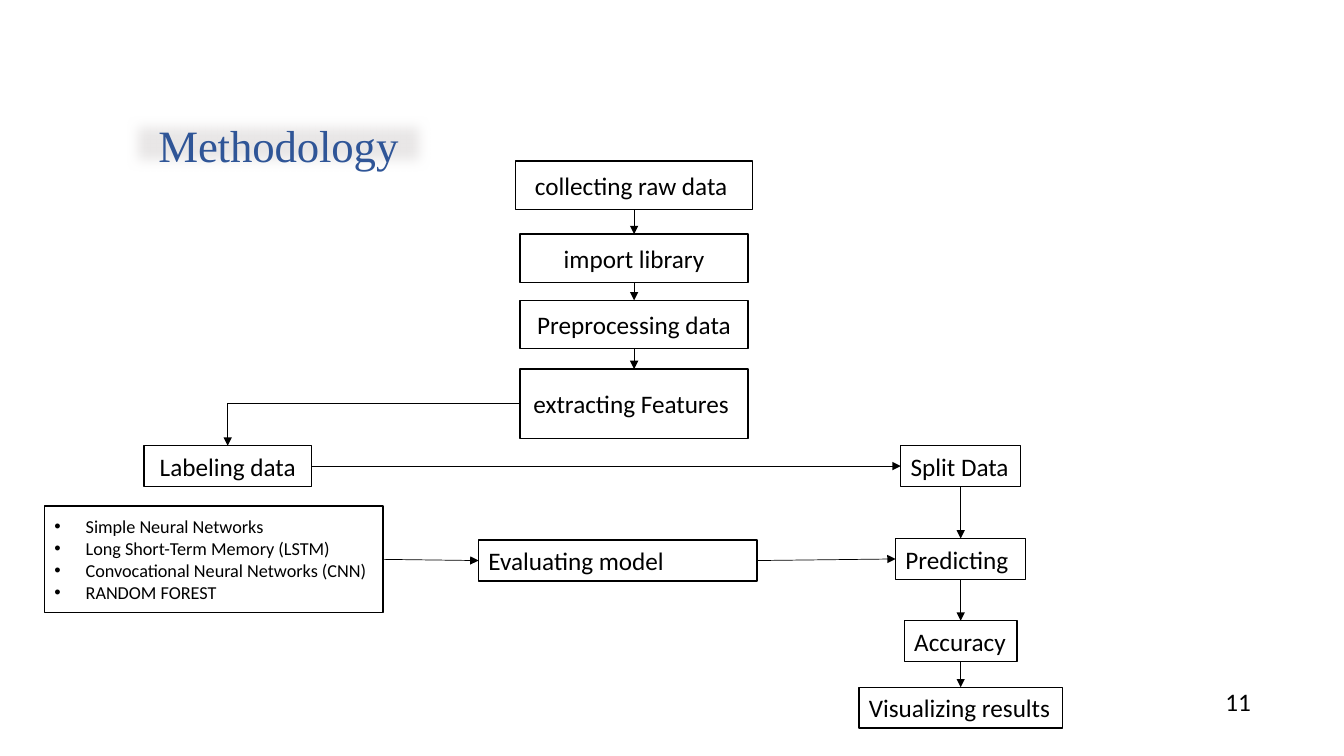
from dataclasses import dataclass
from itertools import pairwise

from lxml.etree import SubElement
from pptx import Presentation
from pptx.dml.color import RGBColor
from pptx.enum.shapes import MSO_CONNECTOR, MSO_SHAPE
from pptx.enum.text import MSO_ANCHOR, MSO_AUTO_SIZE, PP_ALIGN
from pptx.oxml.ns import qn
from pptx.util import Cm, Pt

TOP, LEFT, BOTTOM, RIGHT = range(4)


@dataclass(frozen=True)
class Theme:
    ink: RGBColor = RGBColor(0x00, 0x00, 0x00)
    paper: RGBColor = RGBColor(0xFF, 0xFF, 0xFF)
    heading: RGBColor = RGBColor(0x2F, 0x55, 0x97)
    heading_band: RGBColor = RGBColor(0xE9, 0xE7, 0xE7)
    heading_font: str = "Times New Roman"
    body_font: str = "Calibri"
    heading_size: Pt = Pt(32)
    step_size: Pt = Pt(18)
    list_size: Pt = Pt(13)
    border: Pt = Pt(1)
    arrow: Pt = Pt(0.5)


class FlowSlide:
    def __init__(self, slide, theme):
        self.slide = slide
        self.theme = theme

    def add_text(self, paragraph, text, size, color=None, font=None):
        run = paragraph.add_run()
        run.text = text
        run.font.name = font or self.theme.body_font
        run.font.size = size
        run.font.color.rgb = color or self.theme.ink
        return run

    def title(self, text, left, top, width, height):
        heading = self.slide.shapes.title
        heading.left, heading.top = Cm(left), Cm(top)
        heading.width, heading.height = Cm(width), Cm(height)
        heading.fill.solid()
        heading.fill.fore_color.rgb = self.theme.heading_band
        effects = SubElement(heading.element.spPr, qn("a:effectLst"))
        SubElement(effects, qn("a:softEdge"), rad="112500")
        frame = heading.text_frame
        frame.auto_size = MSO_AUTO_SIZE.NONE
        frame.vertical_anchor = MSO_ANCHOR.BOTTOM
        frame.margin_left = frame.margin_right = frame.margin_bottom = 0
        frame.margin_top = Cm(0.03)
        paragraph = frame.paragraphs[0]
        paragraph.alignment = PP_ALIGN.CENTER
        paragraph.space_before = Pt(1)
        run = self.add_text(paragraph, text, self.theme.heading_size,
                            self.theme.heading, self.theme.heading_font)
        run._r.get_or_add_rPr().set("spc", "-10")

    def box(self, left, top, width, height):
        shape = self.slide.shapes.add_shape(
            MSO_SHAPE.RECTANGLE, Cm(left), Cm(top), Cm(width), Cm(height))
        shape.shadow.inherit = False
        shape.fill.solid()
        shape.fill.fore_color.rgb = self.theme.paper
        shape.line.color.rgb = self.theme.ink
        shape.line.width = self.theme.border
        shape.text_frame.word_wrap = True
        shape.text_frame.vertical_anchor = MSO_ANCHOR.MIDDLE
        return shape

    def step(self, text, left, top, width, height, centred=True):
        shape = self.box(left, top, width, height)
        paragraph = shape.text_frame.paragraphs[0]
        paragraph.alignment = PP_ALIGN.CENTER if centred else PP_ALIGN.LEFT
        if not centred:
            shape.text_frame.margin_right = 0
        self.add_text(paragraph, text, self.theme.step_size)
        return shape

    def bullets(self, items, left, top, width, height):
        shape = self.box(left, top, width, height)
        frame = shape.text_frame
        for index, item in enumerate(items):
            paragraph = frame.add_paragraph() if index else frame.paragraphs[0]
            paragraph.alignment = PP_ALIGN.LEFT
            properties = paragraph._p.get_or_add_pPr()
            properties.set("marL", str(Cm(0.79)))
            properties.set("indent", str(-Cm(0.79)))
            SubElement(properties, qn("a:buFont"), typeface="Arial")
            SubElement(properties, qn("a:buChar"), char="•")
            self.add_text(paragraph, item, self.theme.list_size)
        return shape

    def arrow(self, source, exit_site, target, entry_site, bent=False):
        kind = MSO_CONNECTOR.ELBOW if bent else MSO_CONNECTOR.STRAIGHT
        link = self.slide.shapes.add_connector(kind, 0, 0, 0, 0)
        link.begin_connect(source, exit_site)
        link.end_connect(target, entry_site)
        link.line.color.rgb = self.theme.ink
        link.line.width = self.theme.arrow
        properties = link.element.spPr
        if bent:
            properties.find(qn("a:prstGeom")).set("prst", "bentConnector2")
        SubElement(properties.find(qn("a:ln")), qn("a:tailEnd"), type="triangle")
        SubElement(properties, qn("a:effectLst"))

    def page_number(self, text, left, top, width, height):
        label = self.slide.shapes.add_textbox(
            Cm(left), Cm(top), Cm(width), Cm(height))
        frame = label.text_frame
        frame.word_wrap = True
        frame.margin_left = Cm(0.15)
        frame.margin_top = frame.margin_right = frame.margin_bottom = 0
        paragraph = frame.paragraphs[0]
        paragraph.line_spacing = Pt(12.4)
        self.add_text(paragraph, text, self.theme.step_size)


def main():
    deck = Presentation()
    deck.slide_width, deck.slide_height = Cm(33.87), Cm(19.05)
    page = FlowSlide(deck.slides.add_slide(deck.slide_layouts[5]), Theme())
    page.title("Methodology", 3.18, 2.92, 7.67, 1.4)

    preparation_centre, result_centre, row_height = 15.98, 24.21, 1.03
    preparation = [
        page.step(text, preparation_centre - width / 2, top, width, height)
        for text, top, width, height in (
            ("collecting raw data ", 4.06, 5.97, 1.22),
            ("import library", 5.9, 5.74, 1.22),
            ("Preprocessing data", 7.57, 5.74, 1.22),
            ("extracting Features ", 9.3, 5.74, 1.75),
        )
    ]
    results = [
        page.step(text, result_centre - width / 2, top, width, row_height, False)
        for text, top, width in (
            ("Split Data", 11.23, 3.02),
            ("Predicting", 13.57, 3.28),
            ("Accuracy", 15.64, 2.84),
            ("Visualizing results", 17.32, 5.13),
        )
    ]
    labeling = page.step("Labeling data", 3.63, 11.23, 4.22, row_height)
    models = page.bullets(
        ("Simple Neural Networks", "Long Short-Term Memory (LSTM)",
         "Convocational Neural Networks (CNN)", "RANDOM FOREST"),
        1.12, 12.75, 8.53, 2.69)
    evaluating = page.step("Evaluating model", 12.06, 13.61, 7.02, row_height, False)

    for column in (preparation, results):
        for upper, lower in pairwise(column):
            page.arrow(upper, BOTTOM, lower, TOP)
    split, predicting = results[:2]
    for source, target in ((labeling, split), (models, evaluating),
                           (evaluating, predicting)):
        page.arrow(source, RIGHT, target, LEFT)
    page.arrow(preparation[-1], LEFT, labeling, TOP, bent=True)

    page.page_number("11", 30.73, 17.63, 1.63, 0.48)
    deck.save("out.pptx")


if __name__ == "__main__":
    main()
